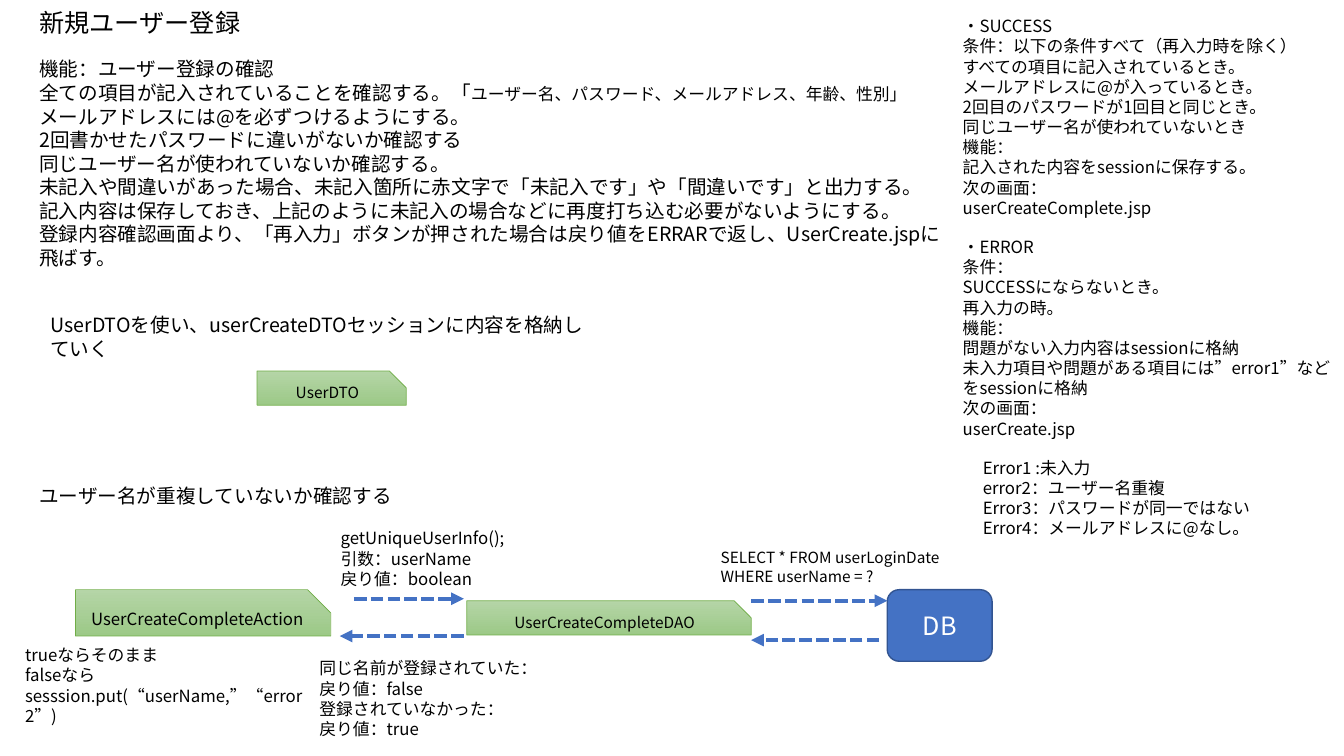
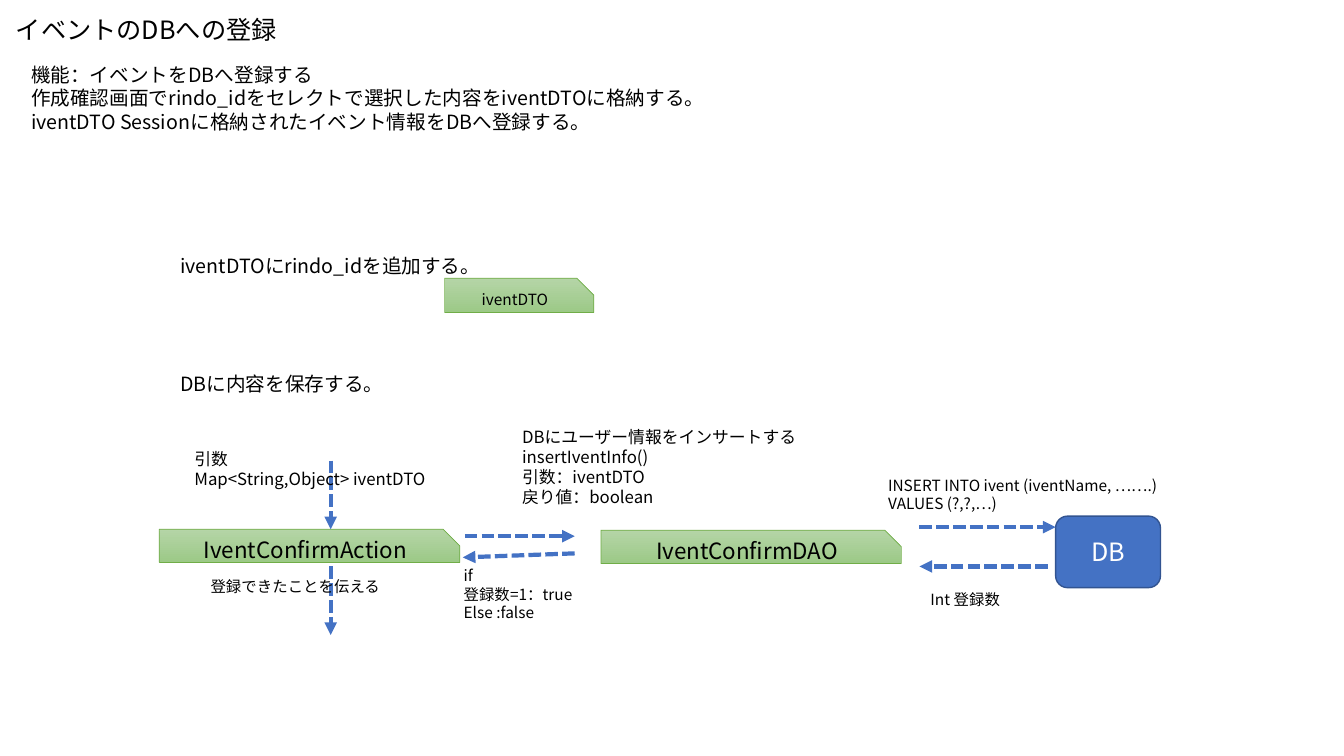
from lxml.etree import SubElement
from pptx import Presentation
from pptx.dml.color import RGBColor
from pptx.enum.shapes import MSO_CONNECTOR as Connector, MSO_SHAPE as Shape
from pptx.enum.text import MSO_ANCHOR as Anchor, MSO_AUTO_SIZE as AutoSize, PP_ALIGN as Align
from pptx.oxml.ns import qn
from pptx.util import Emu, Pt

FONT = "Noto Sans CJK JP"
BLACK, WHITE, BLUE, NAVY, GREEN = "000000", "FFFFFF", "4472C4", "325491", "70AD47"
GREEN_FADE = ("B5D5A7", "9CC987")
TITLE, BODY, NOTE, SMALL, CARD = 18, 14, 12, 11, 16
LINE_HEIGHT = 1.2


def px(length):
    return Emu(length * 9144)


def rgb(value):
    return RGBColor.from_string(value)


def set_format(target, values):
    for name, value in values.items():
        setattr(target, name, value)


class Deck:
    """Holds the shared style and draws on the current slide."""

    def __init__(self):
        self.presentation = Presentation()
        set_format(self.presentation, {"slide_width": px(1333), "slide_height": px(750)})

    def new_slide(self):
        self.slide = self.presentation.slides.add_slide(self.presentation.slide_layouts[6])

    def fill_text(self, frame, lines, size, color=BLACK, anchor=Anchor.TOP, align=Align.LEFT):
        set_format(frame, {"word_wrap": True, "auto_size": AutoSize.NONE,
                           "vertical_anchor": anchor})
        for index, line in enumerate(lines):
            paragraph = frame.add_paragraph() if index else frame.paragraphs[0]
            set_format(paragraph, {"alignment": align, "line_spacing": Pt(size * LINE_HEIGHT)})
            for text, run_size in [(line, size)] if isinstance(line, str) else line:
                run = paragraph.add_run()
                run.text = text
                set_format(run.font, {"name": FONT, "size": Pt(run_size)})
                run.font.color.rgb = rgb(color)
                SubElement(run.font._element, qn("a:ea")).set("typeface", FONT)

    def text(self, left, top, width, height, size, *lines):
        box = self.slide.shapes.add_textbox(px(left), px(top), px(width), px(height))
        self.fill_text(box.text_frame, lines, size)

    def block(self, kind, left, top, width, height, label, size, color, outline, weight):
        shape = self.slide.shapes.add_shape(kind, px(left), px(top), px(width), px(height))
        shape.shadow.inherit = False
        shape.line.color.rgb = rgb(outline)
        shape.line.width = Pt(weight)
        self.fill_text(shape.text_frame, [label], size, color, Anchor.MIDDLE, Align.CENTER)
        return shape

    def card(self, left, top, width, height, label, size):
        shape = self.block(Shape.SNIP_1_RECTANGLE, left, top, width, height,
                           label, size, BLACK, GREEN, 0.5)
        shape.adjustments[0] = 0.5
        shape.fill.gradient()
        shape.fill.gradient_angle = 270
        for stop, color in zip(shape.fill.gradient_stops, GREEN_FADE):
            stop.color.rgb = rgb(color)

    def arrow(self, from_x, from_y, to_x, to_y):
        connector = self.slide.shapes.add_connector(
            Connector.STRAIGHT, px(from_x), px(from_y), px(to_x), px(to_y))
        connector.line.color.rgb = rgb(BLUE)
        connector.line.width = Pt(3)
        properties = connector._element.spPr
        outline = properties.find(qn("a:ln"))
        SubElement(outline, qn("a:prstDash")).set("val", "sysDash")
        SubElement(outline, qn("a:tailEnd")).set("type", "triangle")
        SubElement(properties, qn("a:effectLst"))

    def database(self, left, top):
        shape = self.block(Shape.FLOWCHART_ALTERNATE_PROCESS, left, top, 104, 71,
                           "DB", TITLE, WHITE, NAVY, 1)
        shape.fill.solid()
        shape.fill.fore_color.rgb = rgb(BLUE)
        self.arrow(left - 135, top + 11, left, top + 11)
        self.arrow(left - 8, top + 50, left - 135, top + 50)


def user_registration(deck):
    deck.new_slide()
    deck.text(29, 2, 426, 40, TITLE, "新規ユーザー登録")
    deck.text(
        29, 52, 916, 222, BODY,
        "機能：ユーザー登録の確認",
        [("全ての項目が記入されていることを確認する。「", BODY),
         ("ユーザー名、パスワード、メールアドレス、年齢、性別」", NOTE)],
        "メールアドレスには@を必ずつけるようにする。",
        "2回書かせたパスワードに違いがないか確認する",
        "同じユーザー名が使われていないか確認する。",
        "未記入や間違いがあった場合、未記入箇所に赤文字で「未記入です」や「間違いです」と出力する。",
        "記入内容は保存しておき、上記のように未記入の場合などに再度打ち込む必要がないようにする。",
        "登録内容確認画面より、「再入力」ボタンが押された場合は戻り値をERRARで返し、UserCreate.jspに飛ばす。")
    deck.text(
        945, 11, 388, 212, NOTE,
        "・SUCCESS",
        "条件：以下の条件すべて（再入力時を除く）",
        "すべての項目に記入されているとき。",
        "メールアドレスに@が入っているとき。",
        "2回目のパスワードが1回目と同じとき。",
        "同じユーザー名が使われていないとき",
        "機能：",
        "記入された内容をsessionに保存する。",
        "次の画面：",
        "userCreateComplete.jsp")
    deck.text(
        945, 230, 388, 212, NOTE,
        "・ERROR",
        "条件：",
        "SUCCESSにならないとき。",
        "再入力の時。",
        "機能：",
        "問題がない入力内容はsessionに格納",
        "未入力項目や問題がある項目には”error1”などをsessionに格納",
        "次の画面：",
        "userCreate.jsp")
    deck.text(965, 449, 303, 91, NOTE,
              "Error1 :未入力", "error2：ユーザー名重複",
              "Error3：パスワードが同一ではない", "Error4：メールアドレスに@なし。")
    deck.text(40, 306, 556, 57, BODY,
              "UserDTOを使い、userCreateDTOセッションに内容を格納していく")
    deck.card(255, 368, 148, 34, "UserDTO", SMALL)
    deck.text(29, 475, 556, 34, BODY, "ユーザー名が重複していないか確認する")
    deck.card(75, 585, 253, 46, "UserCreateCompleteAction", NOTE)
    deck.card(463, 596, 282, 34, "UserCreateCompleteDAO", SMALL)
    deck.database(880, 585)
    deck.arrow(351, 594, 460, 594)
    deck.arrow(460, 631, 337, 631)
    deck.text(705, 539, 260, 47, SMALL,
              "SELECT * FROM userLoginDate", "WHERE userName = ?")
    deck.text(328, 519, 496, 71, NOTE,
              "getUniqueUserInfo();", "引数：userName", "戻り値：boolean")
    deck.text(307, 648, 303, 91, NOTE,
              "同じ名前が登録されていた：", "戻り値：false",
              "登録されていなかった：", "戻り値：true")
    deck.text(15, 635, 303, 71, NOTE,
              "trueならそのまま", "falseならsesssion.put(“userName,”“error2”)")


def event_registration(deck):
    deck.new_slide()
    deck.text(6, 9, 400, 40, TITLE, "イベントのDBへの登録")
    deck.text(21, 57, 916, 81, BODY,
              "機能：イベントをDBへ登録する",
              "作成確認画面でrindo_idをセレクトで選択した内容をiventDTOに格納する。",
              "iventDTO Sessionに格納されたイベント情報をDBへ登録する。")
    deck.card(441, 276, 148, 34, "iventDTO", SMALL)
    deck.text(169, 247, 916, 34, BODY, "iventDTOにrindo_idを追加する。")
    deck.text(169, 364, 916, 34, BODY, "DBに内容を保存する。")
    deck.card(158, 525, 298, 33, "IventConfirmAction", CARD)
    deck.card(596, 526, 298, 33, "IventConfirmDAO", CARD)
    deck.database(1047, 512)
    for top in (457, 562):
        deck.arrow(328, top, 328, top + 68)
    deck.arrow(461, 532, 570, 532)
    deck.arrow(570, 549, 459, 553)
    deck.text(183, 440, 332, 50, NOTE, "引数", "Map<String,Object> iventDTO")
    deck.text(508, 418, 343, 91, NOTE,
              "DBにユーザー情報をインサートする", "insertIventInfo()",
              "引数：iventDTO", "戻り値：boolean")
    deck.text(871, 467, 302, 47, SMALL,
              "INSERT INTO ivent (iventName, …….) VALUES (?,?,…)")
    deck.text(913, 581, 302, 29, SMALL, "Int 登録数")
    deck.text(450, 557, 302, 66, SMALL, "if", "登録数=1：true", "Else :false")
    deck.text(199, 568, 302, 29, SMALL, "登録できたことを伝える")


def main():
    deck = Deck()
    user_registration(deck)
    event_registration(deck)
    deck.presentation.save("out.pptx")


if __name__ == "__main__":
    main()
